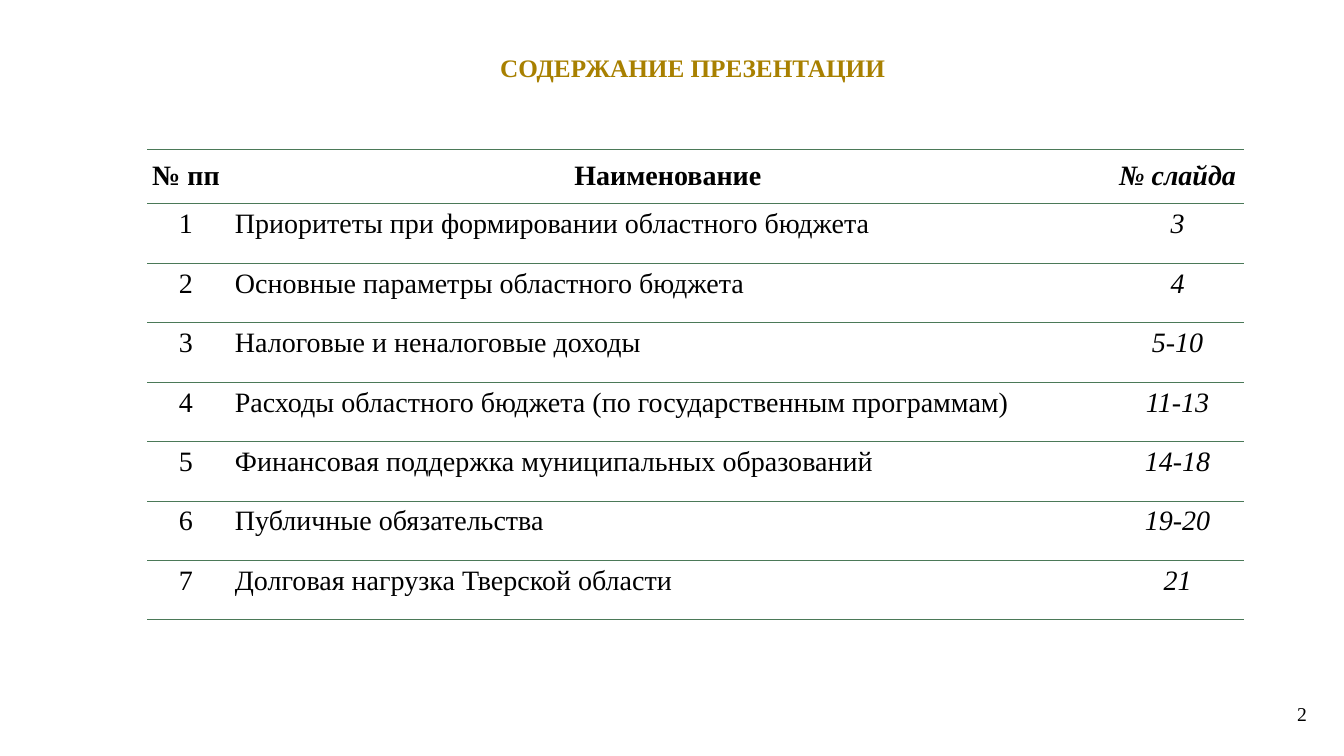
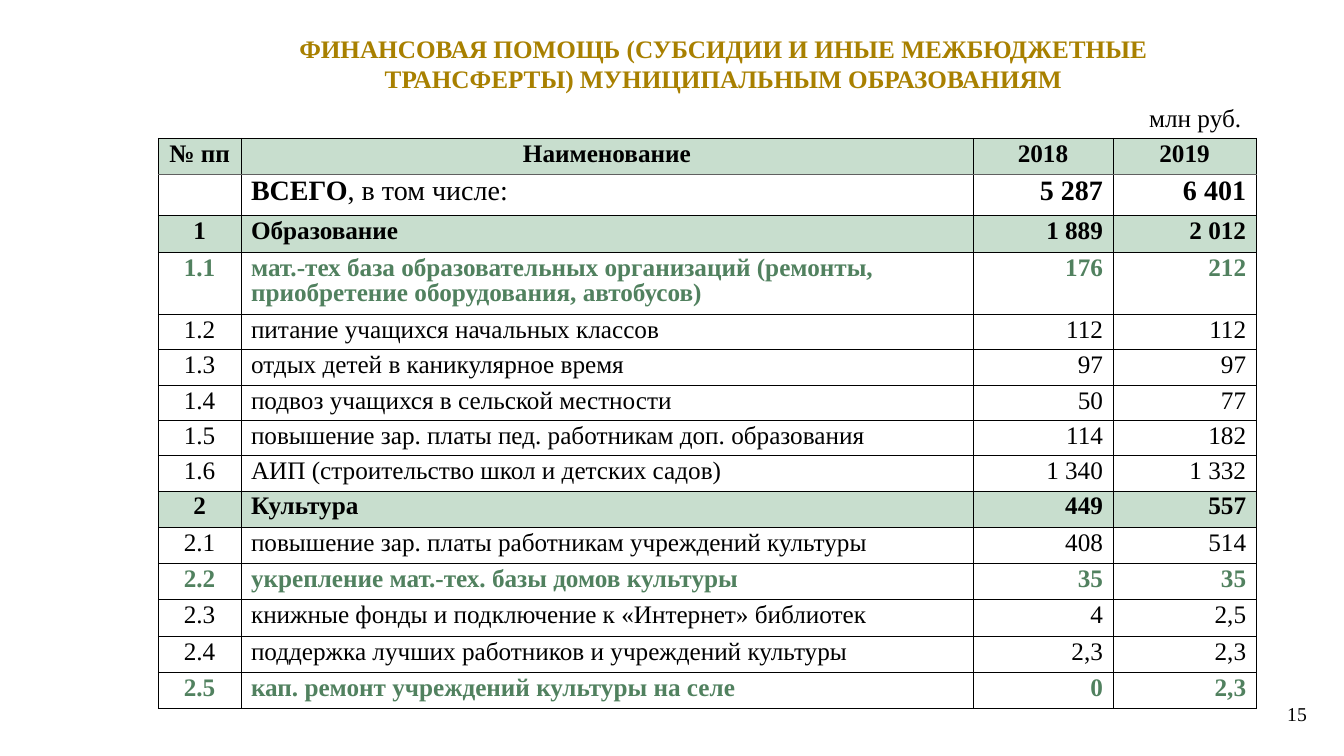
"""Build two budget slides: the list of contents and the aid table."""
import dataclasses
import typing

import lxml.etree
import pptx
import pptx.dml.color
import pptx.enum.text
import pptx.oxml.ns
import pptx.slide
import pptx.table
import pptx.text.text
import pptx.util

Inches = pptx.util.Inches
Align = pptx.enum.text.PP_ALIGN
Anchor = pptx.enum.text.MSO_ANCHOR
Box = tuple[float, float, float, float]


@dataclasses.dataclass(frozen=True)
class Theme:
    font: str = "Times New Roman"
    gold: str = "A88000"
    black: str = "000000"
    green: str = "51815F"
    rule: str = "4B7958"
    gray: str = "606060"
    band: str = "C8DECE"
    small: int = 14
    norm: int = 18
    large: int = 20
    line: float = 0.5


THEME = Theme()


@dataclasses.dataclass(frozen=True)
class Run:
    text: str
    bold: bool = False
    slant: bool = False
    size: int = THEME.norm
    color: str = THEME.black


@dataclasses.dataclass(frozen=True)
class Cell:
    runs: tuple[Run, ...]
    align: Align
    pad: Box
    edges: dict[str, str]
    fill: str = ""
    anchor: Anchor = Anchor.TOP
    space: float = 1.0


@dataclasses.dataclass(frozen=True)
class Item:
    mark: str
    name: str
    old: str
    new: str
    kind: str = "plain"


TOPICS = (
    ("Приоритеты при формировании областного бюджета", "3"),
    ("Основные параметры областного бюджета", "4"),
    ("Налоговые и неналоговые доходы", "5-10"),
    ("Расходы областного бюджета (по государственным программам)", "11-13"),
    ("Финансовая поддержка муниципальных образований", "14-18"),
    ("Публичные обязательства", "19-20"),
    ("Долговая нагрузка Тверской области", "21"),
)

ITEMS = (
    Item("№ пп", "Наименование", "2018", "2019", "head"),
    Item("", "ВСЕГО|, в том числе:", "5 287", "6 401", "total"),
    Item("1", "Образование", "1 889", "2 012", "group"),
    Item("1.1", "мат.-тех база образовательных организаций (ремонты, "
         "приобретение оборудования, автобусов)", "176", "212", "key"),
    Item("1.2", "питание учащихся начальных классов", "112", "112"),
    Item("1.3", "отдых детей в каникулярное время", "97", "97"),
    Item("1.4", "подвоз учащихся в сельской местности", "50", "77"),
    Item("1.5", "повышение зар. платы пед. работникам доп. образования", "114", "182"),
    Item("1.6", "АИП (строительство школ и детских садов)", "1 340", "1 332"),
    Item("2", "Культура", "449", "557", "group"),
    Item("2.1", "повышение зар. платы работникам учреждений культуры", "408", "514"),
    Item("2.2", "укрепление мат.-тех. базы домов культуры", "35", "35", "key"),
    Item("2.3", "книжные фонды и подключение к «Интернет» библиотек", "4", "2,5"),
    Item("2.4", "поддержка лучших работников и учреждений культуры", "2,3", "2,3"),
    Item("2.5", "кап. ремонт учреждений культуры на селе", "0", "2,3", "key"),
)


def tint(code: str) -> pptx.dml.color.RGBColor:
    return pptx.dml.color.RGBColor.from_string(code)


def write(frame: pptx.text.text.TextFrame, runs: typing.Iterable[Run],
          align: Align, space: float = 1.0) -> None:
    para = frame.paragraphs[0]
    para.alignment = align
    para.line_spacing = space
    for run in runs:
        part = para.add_run()
        part.text = run.text
        font = part.font
        font.name = THEME.font
        font.size = pptx.util.Pt(run.size)
        font.bold = run.bold
        font.italic = run.slant
        font.color.rgb = tint(run.color)


def label(slide: pptx.slide.Slide, box: Box, run: Run, align: Align,
          anchor: Anchor) -> None:
    frame = slide.shapes.add_textbox(*map(Inches, box)).text_frame
    frame.word_wrap = True
    frame.vertical_anchor = anchor
    write(frame, [run], align)


def start(deck: typing.Any, title: str, box: Box, page: str) -> pptx.slide.Slide:
    slide = deck.slides.add_slide(deck.slide_layouts[5])
    head = slide.shapes.title
    head.left, head.top, head.width, head.height = map(Inches, box)
    head.text_frame.vertical_anchor = Anchor.MIDDLE
    write(head.text_frame, [Run(title, bold=True, color=THEME.gold)], Align.CENTER)
    label(slide, (10.81, 6.88, 2.25, 0.4), Run(page, size=THEME.small),
          Align.RIGHT, Anchor.MIDDLE)
    return slide


def edge(cell: pptx.table._Cell, sides: dict[str, str]) -> None:
    props = cell._tc.get_or_add_tcPr()
    name = pptx.oxml.ns.qn
    for side in "LRTB":
        line = lxml.etree.SubElement(props, name(f"a:ln{side}"))
        if side in sides:
            line.set("w", str(int(pptx.util.Pt(THEME.line))))
            fill = lxml.etree.SubElement(line, name("a:solidFill"))
            lxml.etree.SubElement(fill, name("a:srgbClr")).set("val", sides[side])
        else:
            lxml.etree.SubElement(line, name("a:noFill"))


def paint(cell: pptx.table._Cell, data: Cell) -> None:
    edge(cell, data.edges)
    if data.fill:
        cell.fill.solid()
        cell.fill.fore_color.rgb = tint(data.fill)
    else:
        cell.fill.background()
    (cell.margin_left, cell.margin_top,
     cell.margin_right, cell.margin_bottom) = map(Inches, data.pad)
    cell.vertical_anchor = data.anchor
    write(cell.text_frame, data.runs, data.align, data.space)


def grid(slide: pptx.slide.Slide, left: float, top: float, cols: list[float],
         rows: list[float], cells: list[list[Cell]]) -> None:
    table = slide.shapes.add_table(
        len(rows), len(cols), Inches(left), Inches(top),
        Inches(sum(cols)), Inches(sum(rows))).table
    table.first_row = table.horz_banding = False
    for col, width in zip(table.columns, cols):
        col.width = Inches(width)
    for row, height, line in zip(table.rows, rows, cells):
        row.height = Inches(height)
        for cell, data in zip(row.cells, line):
            paint(cell, data)


def topic(texts: tuple[str, str, str], head: bool) -> list[Cell]:
    edges = dict.fromkeys("TB", THEME.rule)
    return [
        Cell((Run(text, head, col == 2, THEME.large),),
             Align.CENTER if head or col != 1 else Align.LEFT,
             (0, 0, 0, 0) if head else (0.1, 0.05, 0.1, 0.05), edges,
             anchor=Anchor.MIDDLE if head else Anchor.TOP)
        for col, text in enumerate(texts)]


def entry(item: Item) -> list[Cell]:
    head, total = item.kind == "head", item.kind == "total"
    edges = dict.fromkeys("LRTB", THEME.black)
    if head or total:
        edges["B" if head else "T"] = THEME.gray
    size = THEME.large if total else THEME.norm
    color = THEME.green if item.kind == "key" else THEME.black
    fill = THEME.band if item.kind in ("head", "group") else ""
    side = 0.01 if head else 0.1
    aligns = [Align.CENTER] * 4 if head else [
        Align.CENTER, Align.LEFT, Align.RIGHT, Align.RIGHT]
    cells = []
    for text, align in zip((item.mark, item.name, item.old, item.new), aligns):
        runs = tuple(Run(part, item.kind != "plain" and num == 0, size=size, color=color)
                     for num, part in enumerate(text.split("|")) if part)
        cells.append(Cell(runs, align, (side, 0.04, side, 0.04), edges, fill, space=0.9))
    return cells


def tall(item: Item) -> float:
    if item.mark == "1.1":
        return 0.62
    if item.kind == "total":
        return 0.41
    return 0.35 if item.mark.startswith("1.") else 0.36


def main() -> None:
    deck = pptx.Presentation()
    deck.slide_width, deck.slide_height = Inches(13.33), Inches(7.5)

    slide = start(deck, "СОДЕРЖАНИЕ ПРЕЗЕНТАЦИИ", (2.8, 0.35, 8.14, 0.64), "2")
    cells = [topic(("№ пп", "Наименование", "№ слайда"), True)]
    cells += [topic((str(num), name, page), False)
              for num, (name, page) in enumerate(TOPICS, 1)]
    grid(slide, 1.46, 1.48, [0.77, 8.79, 1.32],
         [0.54] + [0.59] * len(TOPICS), cells)

    slide = start(deck, "ФИНАНСОВАЯ ПОМОЩЬ (СУБСИДИИ И ИНЫЕ МЕЖБЮДЖЕТНЫЕ "
                  "ТРАНСФЕРТЫ) МУНИЦИПАЛЬНЫМ ОБРАЗОВАНИЯМ",
                  (2.8, 0.1, 8.75, 1.06), "15")
    label(slide, (11.3, 0.97, 1.17, 0.4), Run("млн руб."), Align.LEFT, Anchor.TOP)
    grid(slide, 1.57, 1.37, [0.82, 7.26, 1.39, 1.42],
         [tall(item) for item in ITEMS], [entry(item) for item in ITEMS])

    deck.save("out.pptx")


if __name__ == "__main__":
    main()
